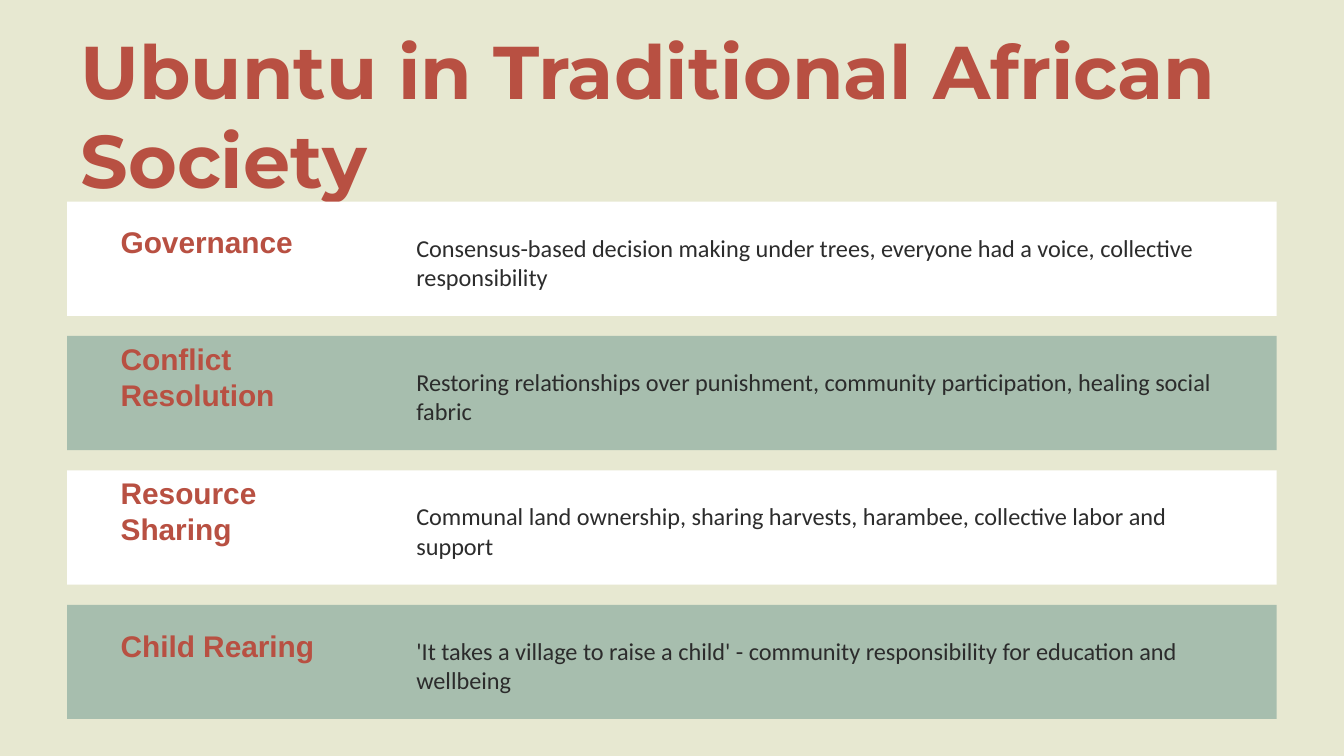
"""Build the slide on Ubuntu in traditional African society."""
import pptx
import pptx.dml.color
import pptx.enum.shapes
import pptx.enum.text
import pptx.util

PX = 4572
COLORS = {
    "sand": "E7E8D1",
    "white": "FFFFFF",
    "sage": "A7BEAE",
    "terracotta": "B85042",
    "charcoal": "2C2C2C",
}
FORMATS = {
    "title": {"name": "Montserrat", "size": pptx.util.Pt(40), "bold": True},
    "aspect": {"name": "Arial", "size": pptx.util.Pt(16), "bold": True},
    "practice": {"name": "Calibri", "size": pptx.util.Pt(13), "bold": False},
}
ROWS = [
    ("Governance", "Consensus-based decision making under trees, everyone had a voice, collective responsibility"),
    ("Conflict Resolution", "Restoring relationships over punishment, community participation, healing social fabric"),
    ("Resource Sharing", "Communal land ownership, sharing harvests, harambee, collective labor and support"),
    ("Child Rearing", "'It takes a village to raise a child' - community responsibility for education and wellbeing"),
]


def rgb(color):
    return pptx.dml.color.RGBColor.from_string(COLORS[color])


def write(holder, text, style, color):
    frame = holder.text_frame
    frame.word_wrap = True
    frame.auto_size = pptx.enum.text.MSO_AUTO_SIZE.NONE
    frame.vertical_anchor = pptx.enum.text.MSO_ANCHOR.MIDDLE
    paragraph = frame.paragraphs[0]
    paragraph.alignment = pptx.enum.text.PP_ALIGN.LEFT
    run = paragraph.add_run()
    run.text = text
    for attribute, value in FORMATS[style].items():
        setattr(run.font, attribute, value)
    run.font.color.rgb = rgb(color)


presentation = pptx.Presentation()
presentation.slide_width = 2000 * PX
presentation.slide_height = 1125 * PX
slide = presentation.slides.add_slide(presentation.slide_layouts[5])
slide.background.fill.solid()
slide.background.fill.fore_color.rgb = rgb("sand")

title = slide.shapes.title
title_place = {"left": 100, "top": 100, "width": 1800, "height": 140}
for attribute, value in title_place.items():
    setattr(title, attribute, value * PX)
write(title, "Ubuntu in Traditional African Society", "title", "terracotta")

for index, (aspect, practice) in enumerate(ROWS):
    top = 300 + 200 * index
    band = slide.shapes.add_shape(
        pptx.enum.shapes.MSO_SHAPE.RECTANGLE, 100 * PX, top * PX, 1800 * PX, 170 * PX
    )
    band.shadow.inherit = False
    band.fill.solid()
    band.fill.fore_color.rgb = rgb(("white", "sage")[index % 2])
    band.line.fill.background()

    text_top = (top + 30) * PX
    aspect_label = slide.shapes.add_textbox(160 * PX, text_top, 400 * PX, 60 * PX)
    write(aspect_label, aspect, "aspect", "terracotta")
    practice_label = slide.shapes.add_textbox(600 * PX, text_top, 1240 * PX, 120 * PX)
    write(practice_label, practice, "practice", "charcoal")

presentation.save("out.pptx")
